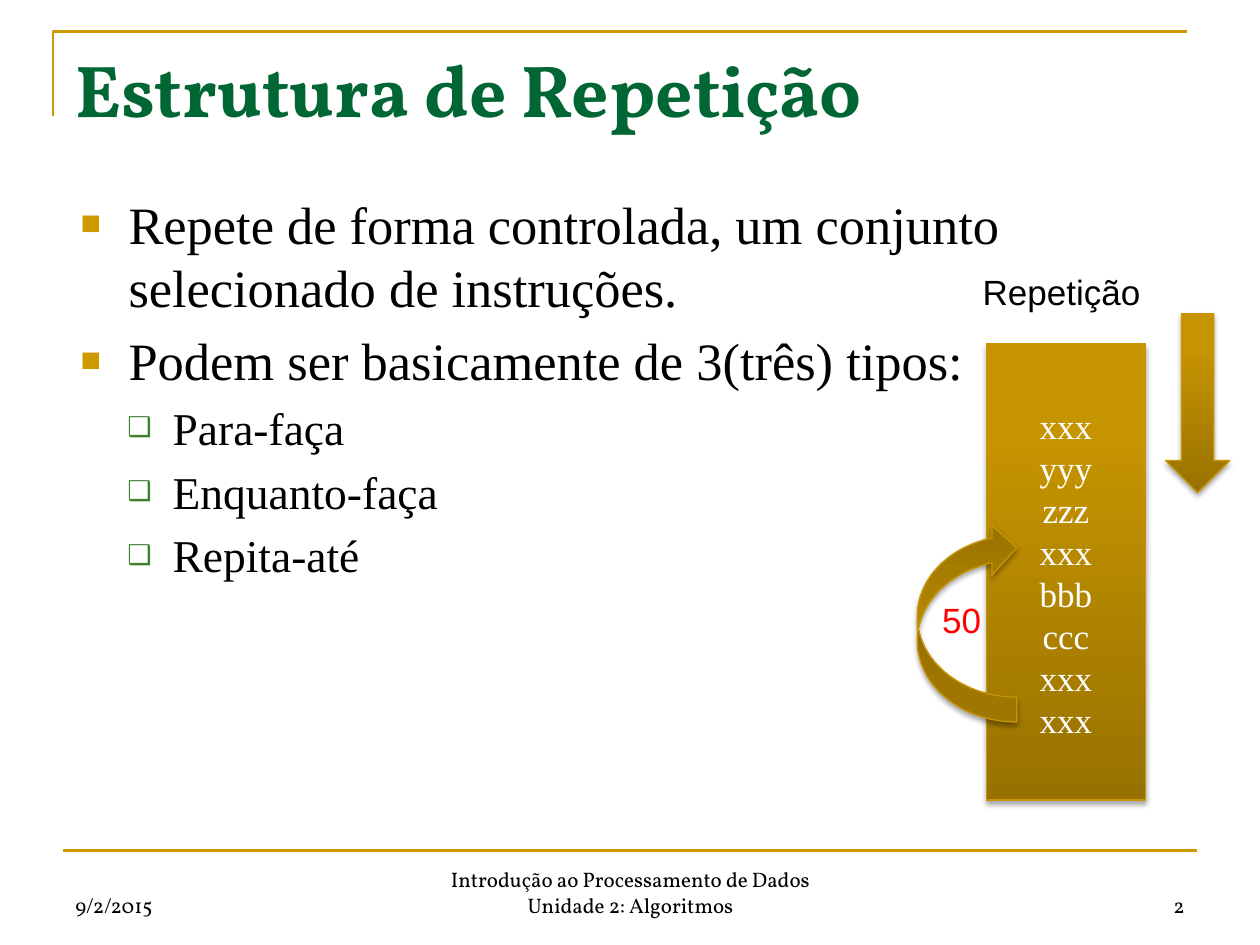
from lxml.etree import SubElement
from pptx import Presentation
from pptx.dml.color import RGBColor
from pptx.enum.shapes import MSO_CONNECTOR, MSO_SHAPE
from pptx.enum.text import MSO_ANCHOR, MSO_AUTO_SIZE, PP_ALIGN
from pptx.oxml.ns import qn
from pptx.util import Inches, Pt

THEME = {
    "color": {"gold": "CC9900", "green": "006633", "leaf": "3B812F", "edge": "C89600",
              "black": "000000", "white": "FFFFFF", "red": "FF0000"},
    "gradient": [(0, "987200"), (80, "C69400"), (100, "C79500")],
    "style": {
        "title": {"name": "Vollkorn", "size": Pt(42), "bold": True},
        "topic": {"name": "Times New Roman", "size": Pt(30)},
        "subtopic": {"name": "Times New Roman", "size": Pt(26)},
        "code": {"name": "Times New Roman", "size": Pt(20)},
        "label": {"name": "Arial", "size": Pt(20)},
        "footer": {"name": "Vollkorn", "size": Pt(12)},
    },
}
# Per list level: text style, left margin, hanging indent, bullet, its colour and size
LEVELS = [("topic", 0.38, -0.38, "■", "gold", 65),
          ("subtopic", 0.73, -0.36, "❑", "leaf", 60)]
TOPICS = [
    (0, "Repete de forma controlada, um conjunto selecionado de instruções."),
    (0, "Podem ser basicamente de 3(três) tipos:"),
    (1, "Para-faça"),
    (1, "Enquanto-faça"),
    (1, "Repita-até"),
]
INSTRUCTIONS = ["xxx", "yyy", "zzz", "xxx", "bbb", "ccc", "xxx", "xxx"]
FOOTERS = [
    (0.5, 2.33, PP_ALIGN.LEFT, ["9/2/2015"]),
    (3.42, 3.17, PP_ALIGN.CENTER,
     ["Introdução ao Processamento de Dados", "Unidade 2: Algoritmos"]),
    (7.17, 2.33, PP_ALIGN.RIGHT, ["2"]),
]


def color(key):
    return RGBColor.from_string(THEME["color"][key])


def apply(target, values):
    for attribute, value in values.items():
        setattr(target, attribute, value)


def box(left, top, width, height):
    return [Inches(length) for length in (left, top, width, height)]


def write(frame, lines, style, ink, align=PP_ALIGN.LEFT):
    for index, line in enumerate(lines):
        paragraph = frame.paragraphs[0] if index == 0 else frame.add_paragraph()
        paragraph.alignment = align
        run = paragraph.add_run()
        run.text = line
        apply(run.font, THEME["style"][style])
        run.font.color.rgb = color(ink)


def place(placeholder, bounds):
    apply(placeholder, dict(zip(("left", "top", "width", "height"), box(*bounds))))
    apply(placeholder.text_frame, {"auto_size": MSO_AUTO_SIZE.NONE, "word_wrap": True,
                                   "vertical_anchor": MSO_ANCHOR.TOP})
    return placeholder.text_frame


def add_text(slide, bounds, lines, style, ink, align=PP_ALIGN.LEFT, **frame_format):
    frame = slide.shapes.add_textbox(*box(*bounds)).text_frame
    apply(frame, frame_format)
    write(frame, lines, style, ink, align)


def set_bullet(paragraph, level):
    _, margin, indent, char, tint, size = LEVELS[level]
    paragraph.level = level
    properties = paragraph._p.get_or_add_pPr()
    properties.set("marL", str(Inches(margin)))
    properties.set("indent", str(Inches(indent)))
    spacing = SubElement(properties, qn("a:spcBef"))
    SubElement(spacing, qn("a:spcPct"), val="20000")
    bullet_color = SubElement(properties, qn("a:buClr"))
    SubElement(bullet_color, qn("a:srgbClr"), val=THEME["color"][tint])
    SubElement(properties, qn("a:buSzPct"), val=str(size * 1000))
    SubElement(properties, qn("a:buChar"), char=char)


def add_topics(frame):
    write(frame, [text for _, text in TOPICS], "topic", "black")
    for paragraph, (level, _) in zip(frame.paragraphs, TOPICS):
        set_bullet(paragraph, level)
        apply(paragraph.runs[0].font, THEME["style"][LEVELS[level][0]])


def style_rule(rule):
    rule.line.color.rgb = color("gold")
    rule.line.width = Pt(1.5)


def add_rules(slide):
    # Corner rule above the title
    builder = slide.shapes.build_freeform(Inches(0.42), Inches(0.92))
    builder.add_line_segments([(Inches(0.42), Inches(0.25)),
                               (Inches(9.42), Inches(0.25))], close=False)
    corner = builder.convert_to_shape()
    corner.fill.background()
    corner.shadow.inherit = False
    style_rule(corner)
    # Rule above the footer
    footer_rule = slide.shapes.add_connector(MSO_CONNECTOR.STRAIGHT, Inches(0.5),
                                             Inches(6.75), Inches(9.5), Inches(6.75))
    style_rule(footer_rule)
    SubElement(footer_rule._element.spPr, qn("a:effectLst"))


def add_golden(slide, kind, bounds, rotation=0):
    golden = slide.shapes.add_shape(kind, *box(*bounds))
    golden.rotation = rotation
    apply(golden.line, {"width": Pt(0.75)})
    golden.line.color.rgb = color("edge")
    # Gradient, dark at the bottom
    golden.fill.gradient()
    golden.fill.gradient_angle = 90
    properties = golden._element.spPr
    stops = properties.find(".//" + qn("a:gsLst"))
    for stop in list(stops):
        stops.remove(stop)
    for position, tint in THEME["gradient"]:
        stop = SubElement(stops, qn("a:gs"), pos=str(position * 1000))
        SubElement(stop, qn("a:srgbClr"), val=tint)
    # Soft shadow below
    golden.shadow.inherit = False
    shadow = SubElement(properties.find(qn("a:effectLst")), qn("a:outerShdw"),
                        blurRad=str(Pt(3.1)), dist=str(Pt(1.8)), dir="5400000",
                        rotWithShape="0")
    shade = SubElement(shadow, qn("a:srgbClr"), val=THEME["color"]["black"])
    SubElement(shade, qn("a:alpha"), val="35000")
    return golden


def add_loop_diagram(slide):
    label_format = {"word_wrap": False, "auto_size": MSO_AUTO_SIZE.SHAPE_TO_FIT_TEXT}
    block = add_golden(slide, MSO_SHAPE.RECTANGLE, (7.83, 2.73, 1.26, 3.62))
    block.text_frame.vertical_anchor = MSO_ANCHOR.MIDDLE
    write(block.text_frame, INSTRUCTIONS, "code", "white", PP_ALIGN.CENTER)
    add_text(slide, (7.7, 2.1, 1.55, 0.5), ["Repetição"], "label", "black", **label_format)
    add_golden(slide, MSO_SHAPE.CURVED_LEFT_ARROW, (7.28, 4.15, 0.79, 1.58), 180)
    add_golden(slide, MSO_SHAPE.DOWN_ARROW, (9.25, 2.49, 0.51, 1.42))
    add_text(slide, (7.38, 4.7, 0.54, 0.5), ["50"], "label", "red", **label_format)


def main():
    deck = Presentation()
    apply(deck, {"slide_width": Inches(10), "slide_height": Inches(7.5)})
    slide = deck.slides.add_slide(deck.slide_layouts[1])
    add_rules(slide)
    # Title and list
    title = place(slide.shapes.title, (0.5, 0.3, 9, 1.25))
    write(title, ["Estrutura de Repetição"], "title", "green")
    add_topics(place(slide.placeholders[1], (0.54, 1.47, 8.8, 1.34)))
    # Footer
    for left, width, align, lines in FOOTERS:
        add_text(slide, (left, 6.83, width, 0.5), lines, "footer", "black", align,
                 word_wrap=True, vertical_anchor=MSO_ANCHOR.BOTTOM)
    add_loop_diagram(slide)
    deck.save("out.pptx")


main()
